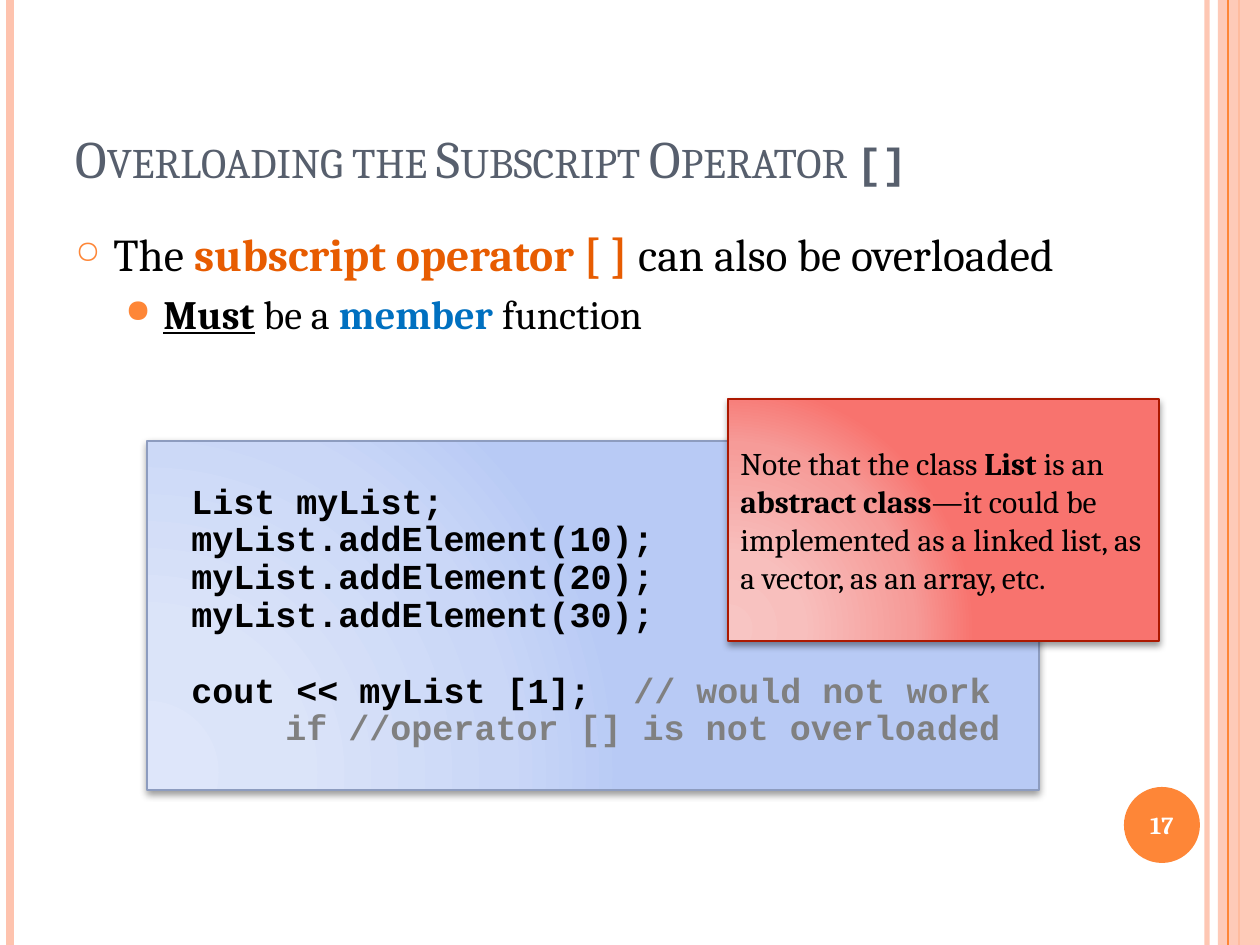
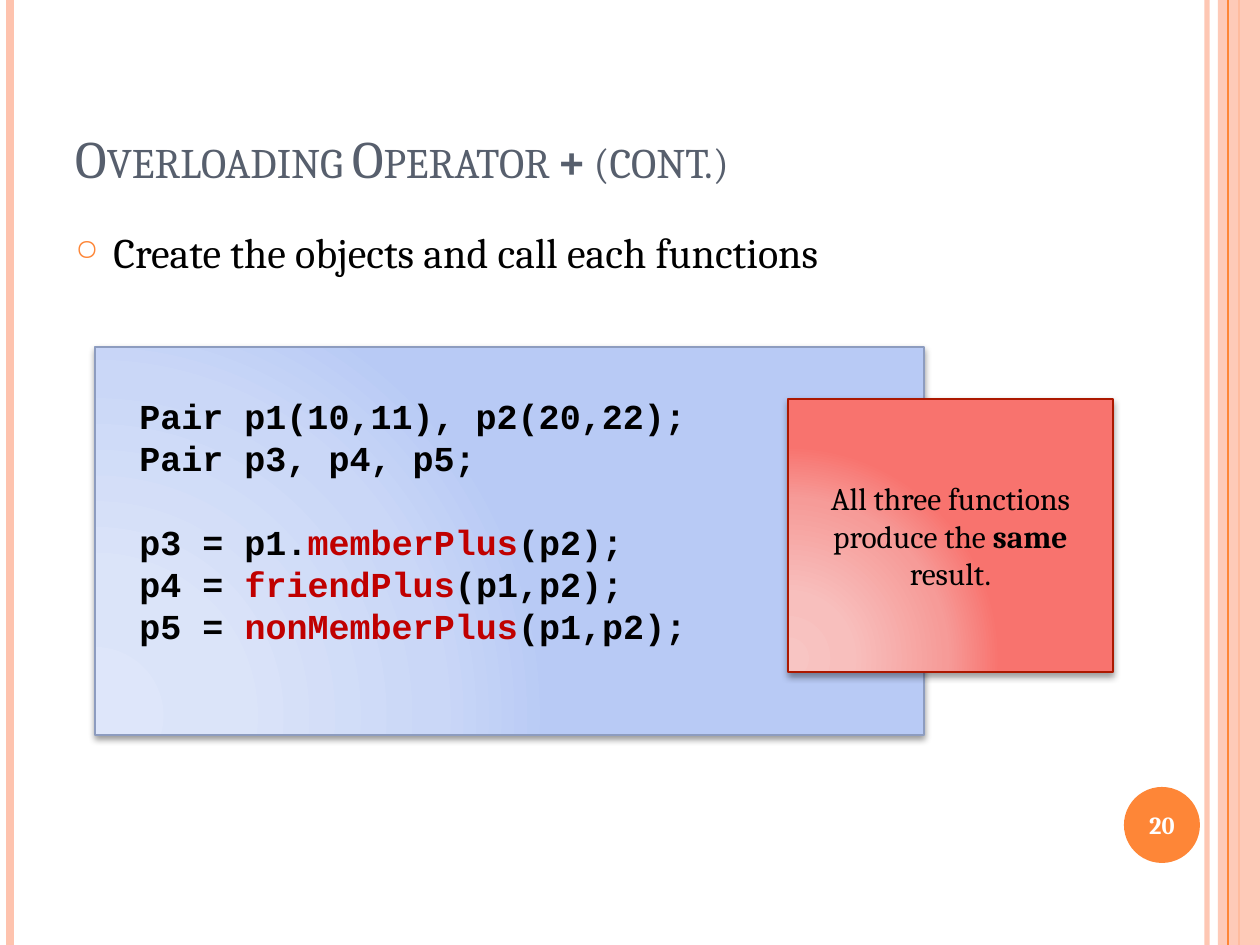
from lxml import etree
from pptx import Presentation
from pptx.dml.color import RGBColor
from pptx.enum import shapes, text
from pptx.oxml import ns
from pptx.util import Emu, Pt

PX = 914400 / 126
WIDTH, HEIGHT = 1260, 945

SERIF, MONO = "Cambria", "Courier New"
BLACK = RGBColor(0, 0, 0)
WHITE = RGBColor(255, 255, 255)
ORANGE = RGBColor(0xFE, 0x86, 0x37)
PEACH = RGBColor(0xFE, 0xC3, 0xAE)
SLATE = RGBColor(0x57, 0x5F, 0x6D)
RUST = RGBColor(0xE7, 0x5C, 0x01)
BLUE = RGBColor(0, 0x70, 0xC0)
RED = RGBColor(0xC0, 0, 0)
GREY = RGBColor(0x80, 0x80, 0x80)
CODE_EDGE = RGBColor(0x8D, 0x9C, 0xBF)
NOTE_EDGE = RGBColor(0xAC, 0x18, 0)

# Gradient colours at the shared stops
STOPS = (0, 30, 75, 100)
CODE_SHADES = [RGBColor.from_string(c) for c in ("DEE6FA", "DBE4F9", "CAD7F7", "B8CAF5")]
NOTE_SHADES = [RGBColor.from_string(c) for c in ("F8C5C3", "F8BFBD", "F69B98", "F8736E")]

# Per level: bullet, size in percent, left edge in px, space before in points
BULLETS = (("○", 70, 38, 6), ("●", 80, 88, 4.6))
HANG = 38


def px(n):
    return Emu(round(n * PX))


def sub(parent, tag, **attrs):
    el = etree.SubElement(parent, ns.qn(tag))
    for name, value in attrs.items():
        el.set(name, str(value))
    return el


def set_alpha(color_format_parent, percent):
    color = next(color_format_parent.iter(ns.qn("a:srgbClr")))
    sub(color, "a:alpha", val=percent * 1000)


# Text

def add_runs(p, runs, size, font=SERIF, color=BLACK, bold=False):
    """Each run is a string, or a string with the settings that differ."""
    for run in runs:
        words, style = (run, {}) if isinstance(run, str) else run
        r = p.add_run()
        r.text = words
        r.font.size = Pt(size)
        r.font.name = style.get("font", font)
        r.font.bold = style.get("bold", bold)
        r.font.underline = style.get("underline")
        r.font.color.rgb = style.get("color", color)


def paragraphs(tf, count):
    return [tf.paragraphs[0]] + [tf.add_paragraph() for _ in range(count - 1)]


def set_indent(p, left, first):
    pPr = p._p.get_or_add_pPr()
    pPr.set("marL", str(px(left)))
    pPr.set("indent", str(px(first)))
    return pPr


def add_text_frame(slide, x, y, w, h, anchor):
    tf = slide.shapes.add_textbox(px(x), px(y), px(w), px(h)).text_frame
    tf.word_wrap = True
    tf.vertical_anchor = anchor
    return tf


def add_title(slide, runs, width):
    tf = add_text_frame(slide, 63, 38, width, 157, text.MSO_ANCHOR.BOTTOM)
    p = tf.paragraphs[0]
    add_runs(p, runs, 30, color=SLATE)
    for r in p.runs:
        r.font._element.set("cap", "small")


def add_bullets(slide, items, width):
    """Each item is a level, a text size and the runs."""
    tf = add_text_frame(slide, 63, 220, width, 672, text.MSO_ANCHOR.TOP)
    for p, (level, size, runs) in zip(paragraphs(tf, len(items)), items):
        mark, percent, left, before = BULLETS[level]
        p.level = level
        p.space_before = Pt(before)
        pPr = set_indent(p, left, -HANG)
        sub(sub(pPr, "a:buClr"), "a:srgbClr", val=ORANGE)
        sub(pPr, "a:buSzPct", val=percent * 1000)
        sub(pPr, "a:buChar", char=mark)
        add_runs(p, runs, size)


# Shapes

def add_shape(slide, kind, x, y, w, h, fill=None):
    sp = slide.shapes.add_shape(kind, px(x), px(y), px(w), px(h))
    sp.shadow.inherit = False
    if fill is not None:
        sp.fill.solid()
        sp.fill.fore_color.rgb = fill
        sp.line.fill.background()
    return sp


def add_rule(slide, x, color, points):
    line = slide.shapes.add_connector(shapes.MSO_CONNECTOR.STRAIGHT,
                                      px(x), 0, px(x), px(HEIGHT))
    line.line.color.rgb = color
    line.line.width = Pt(points)
    sub(line._element.spPr, "a:effectLst")
    return line


def add_panel(slide, box, shades, edge):
    """A rectangle with a radial gradient and a soft shadow below it."""
    sp = add_shape(slide, shapes.MSO_SHAPE.RECTANGLE, *box)
    sp.line.color.rgb = edge
    sp.line.width = Pt(1)
    spPr = sp._element.spPr

    grad = etree.Element(ns.qn("a:gradFill"), rotWithShape="1")
    stops = sub(grad, "a:gsLst")
    for pos, shade in zip(STOPS, shades):
        sub(sub(stops, "a:gs", pos=pos * 1000), "a:srgbClr", val=shade)
    sub(sub(grad, "a:path", path="circle"), "a:fillToRect",
        l=5000, t=100000, r=120000, b=10000)
    spPr.find(ns.qn("a:prstGeom")).addnext(grad)

    shadow = sub(spPr.find(ns.qn("a:effectLst")), "a:outerShdw",
                 blurRad=Pt(4), dist=Pt(2), dir=90 * 60000, rotWithShape=0)
    sub(shadow, "a:srgbClr", val=BLACK)
    set_alpha(shadow, 40)

    tf = sp.text_frame
    tf.word_wrap = True
    tf.vertical_anchor = text.MSO_ANCHOR.MIDDLE
    return tf


def add_code(slide, box, blocks, pitch, left=32, first=0, bottom=6):
    """Blocks of code lines, set one line apart."""
    tf = add_panel(slide, box, CODE_SHADES, CODE_EDGE)
    tf.margin_bottom = px(bottom)
    lines = [(runs, i == 0 and b > 0)
             for b, block in enumerate(blocks) for i, runs in enumerate(block)]
    for p, (runs, new_block) in zip(paragraphs(tf, len(lines)), lines):
        p.alignment = text.PP_ALIGN.LEFT
        p.line_spacing = Pt(pitch)
        p.space_before = Pt(pitch if new_block else 0)
        set_indent(p, left, first)
        add_runs(p, runs, 20, MONO, bold=True)


def add_note(slide, box, runs, align):
    p = add_panel(slide, box, NOTE_SHADES, NOTE_EDGE).paragraphs[0]
    p.alignment = align
    add_runs(p, runs, 18)


def add_frame(slide, number):
    """Side bands and the page number."""
    pale = add_rule(slide, 1207, PEACH, 3)
    set_alpha(pale._element.spPr, 93)
    add_rule(slide, 10, PEACH, 4.5)
    add_rule(slide, 1239, ORANGE, 1.5)
    band = add_shape(slide, shapes.MSO_SHAPE.RECTANGLE, 1218, 0, WIDTH - 1218, HEIGHT, PEACH)
    set_alpha(band._element.spPr, 87)
    add_rule(slide, 1228, ORANGE, 0.75)

    tf = add_shape(slide, shapes.MSO_SHAPE.OVAL, 1124, 787, 76, 76, ORANGE).text_frame
    tf.margin_left = tf.margin_right = 0
    tf.vertical_anchor = text.MSO_ANCHOR.MIDDLE
    p = tf.paragraphs[0]
    p.alignment = text.PP_ALIGN.CENTER
    add_runs(p, [number], 14, color=WHITE, bold=True)


def main():
    prs = Presentation()
    prs.slide_width, prs.slide_height = px(WIDTH), px(HEIGHT)
    strong = {"bold": True}
    symbol = {"font": MONO, "bold": True}
    call = {"color": RED, "bold": True}

    # Subscript operator
    s = prs.slides.add_slide(prs.slide_layouts[6])
    add_frame(s, "17")
    add_title(s, ["Overloading the Subscript Operator ", ("[]", symbol)], 1134)
    add_bullets(s, [
        (0, 26, ["The ", ("subscript operator [ ] ", {"color": RUST, "bold": True}),
                 "can also be overloaded"]),
        (1, 23, [("Must", {"bold": True, "underline": True}), " be a ",
                 ("member ", {"color": BLUE, "bold": True}), "function"]),
    ], 1081)
    add_code(s, (147, 441, 892, 349), [
        [["List myList;"]] + [[f"myList.addElement({n});"] for n in (10, 20, 30)],
        [["cout << myList [1];  ",
          ("// would not work if //operator [] is not overloaded", {"color": GREY})]],
    ], pitch=21.6, left=126, first=-94)
    add_note(s, (728, 399, 431, 242), [
        "Note that the class ", ("List ", strong), "is an ", ("abstract class", strong),
        "—it could be implemented as a linked list, as a vector, as an array, etc.",
    ], text.PP_ALIGN.LEFT)

    # Operator +
    s = prs.slides.add_slide(prs.slide_layouts[6])
    add_frame(s, "20")
    add_title(s, ["Overloading Operator ", ("+", symbol), " (cont.)"], 1029)
    add_bullets(s, [(0, 24, ["Create the objects and call each functions"])], 1029)
    add_code(s, (95, 347, 829, 388), [
        [["Pair p1(10,11), p2(20,22);"], ["Pair p3, p4, p5;"]],
        [["p3 = p1.", ("memberPlus", call), "(p2);"],
         ["p4 = ", ("friendPlus", call), "(p1,p2);"],
         ["p5 = ", ("nonMemberPlus", call), "(p1,p2);"]],
    ], pitch=24, bottom=48)
    add_note(s, (788, 399, 325, 273),
             ["All three functions produce the ", ("same", strong), " result."],
             text.PP_ALIGN.CENTER)

    prs.save("out.pptx")


if __name__ == "__main__":
    main()
